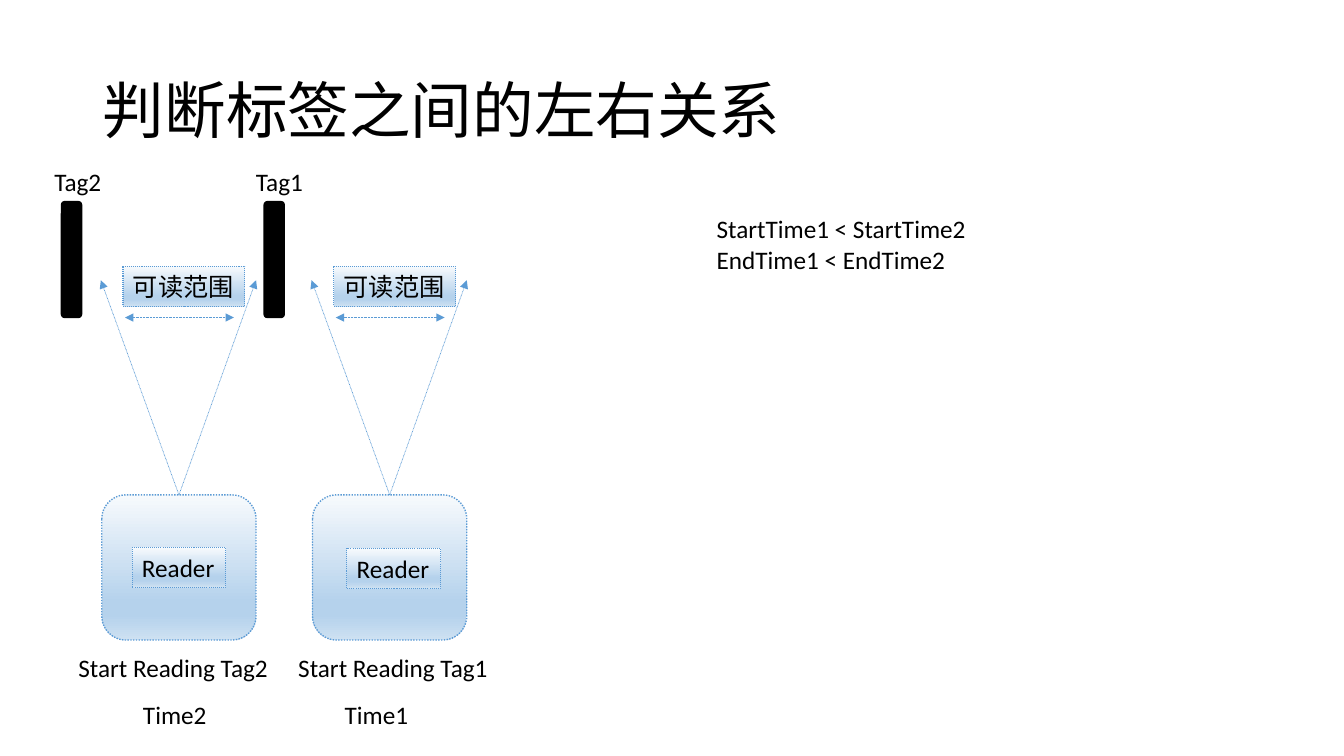
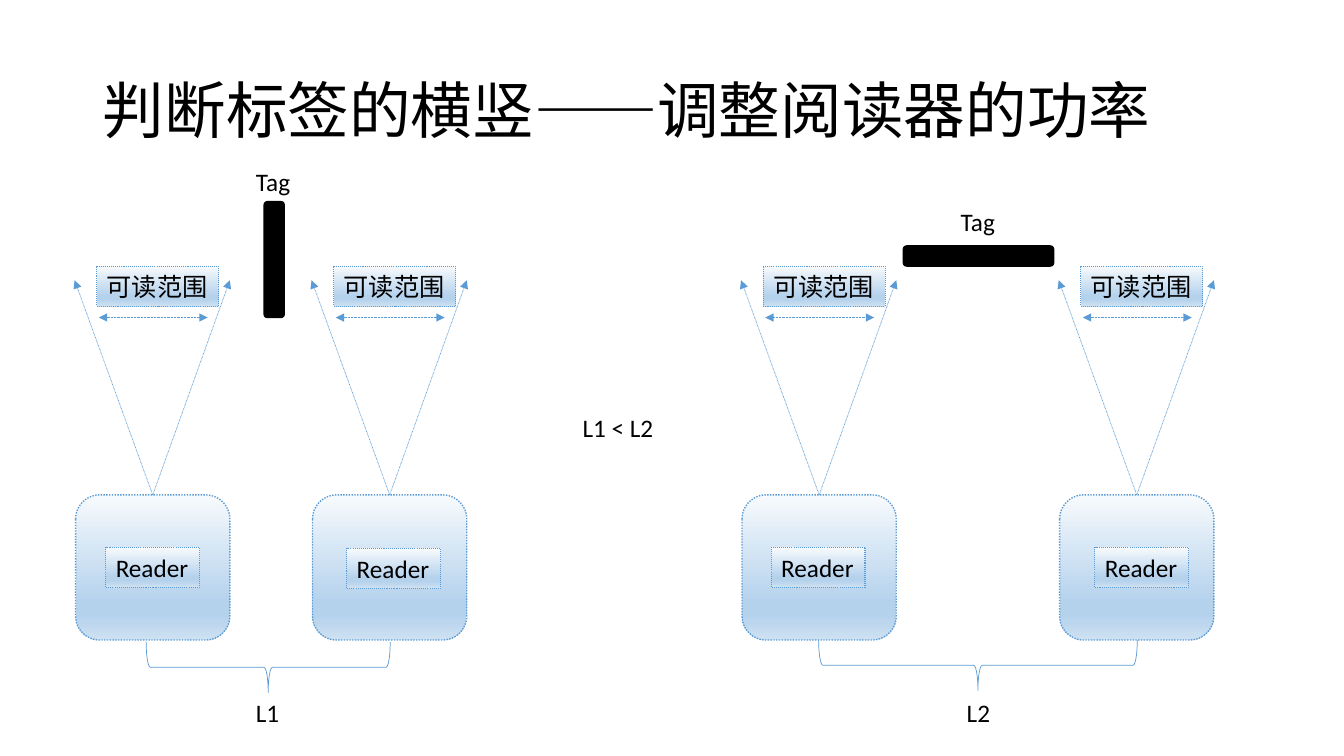
"""Build two slides on locating RFID tags with readers."""
from lxml.etree import SubElement
from pptx import Presentation
from pptx.dml.color import RGBColor
from pptx.enum.dml import MSO_LINE
from pptx.enum.shapes import MSO_CONNECTOR, MSO_SHAPE
from pptx.enum.text import MSO_ANCHOR, MSO_AUTO_SIZE, PP_ALIGN
from pptx.oxml.ns import qn
from pptx.util import Inches, Pt

FONT, BLACK, BLUE = "Calibri", "000000", "5B9BD5"
GRADIENT = [(0, "F7FAFD"), (74, "B5D2EC"), (83, "B5D2EC"), (100, "CEE1F2")]
READER_TOP, READER_WIDTH, READER_HEIGHT = 4.91, 1.53, 1.44
BEAM_TOP, RANGE_TOP, ARROW_TOP = 2.78, 2.64, 3.15
LABEL_HEIGHT = 0.4

SLIDES = [
    {
        "title": "判断标签之间的左右关系",
        "tags": [(2.62, 2, 0.2, 1.15), (0.61, 2, 0.2, 1.15)],
        "readers": [(3.1, 3.44, 5.44), (1.01, 1.31, 5.43)],
        "braces": [],
        "texts": [
            (2.44, 1.6, 0.67, ["Tag1"]),
            (0.44, 1.6, 0.67, ["Tag2"]),
            (2.86, 6.42, 2.1, ["Start Reading Tag1"]),
            (0.68, 6.42, 2.1, ["Start Reading Tag2"]),
            (3.32, 6.89, 0.84, ["Time1"]),
            (1.32, 6.89, 0.84, ["Time2"]),
            (7.01, 2.07, 2.7, ["StartTime1 < StartTime2", "EndTime1 < EndTime2"]),
        ],
    },
    {
        "title": "判断标签的横竖——调整阅读器的功率",
        "tags": [(2.62, 2, 0.2, 1.15), (8.96, 2.44, 1.49, 0.2)],
        "readers": [(3.1, 3.44, 5.44), (0.75, 1.05, 5.43),
                    (10.51, 10.86, 5.43), (7.36, 7.65, 5.43)],
        "braces": [(2.41, 5.41, 0.5, 2.42), (9.45, 5.02, 0.5, 3.16)],
        "texts": [
            (2.44, 1.6, 0.55, ["Tag"]),
            (9.43, 2, 0.55, ["Tag"]),
            (2.44, 6.87, 0.44, ["L1"]),
            (9.49, 6.87, 0.44, ["L2"]),
            (5.68, 4.04, 0.91, ["L1 < L2"]),
        ],
    },
]


def color(value):
    return RGBColor.from_string(value)


def add_span(para, text, size):
    span = para.add_run()
    span.text = text
    span.font.size = Pt(size)
    span.font.name = FONT
    span.font.color.rgb = color(BLACK)


def style_line(line, width, value=BLUE, dash=None):
    line.color.rgb = color(value)
    line.width = Pt(width)
    if dash:
        line.dash_style = dash


def fill_gradient(shape):
    shape.fill.gradient()
    shape.fill.gradient_angle = 270
    stops = shape.fill._fill._gradFill.find(qn("a:gsLst"))
    for stop in list(stops):
        stops.remove(stop)
    for position, value in GRADIENT:
        stop = SubElement(stops, qn("a:gs"), pos=str(position * 1000))
        SubElement(stop, qn("a:srgbClr"), val=value)


def add_title(page, text):
    title = page.shapes.title
    title.left, title.top = Inches(0.92), Inches(0.4)
    title.width, title.height = Inches(11.5), Inches(1.45)
    frame = title.text_frame
    frame.auto_size = MSO_AUTO_SIZE.NONE
    frame.vertical_anchor = MSO_ANCHOR.MIDDLE
    para = frame.paragraphs[0]
    para.alignment = PP_ALIGN.LEFT
    para.line_spacing = 0.9
    add_span(para, text, 44)


def add_text(page, left, top, width, lines):
    height = LABEL_HEIGHT + 0.31 * (len(lines) - 1)
    box = page.shapes.add_textbox(Inches(left), Inches(top), Inches(width), Inches(height))
    frame = box.text_frame
    frame.word_wrap = False
    frame.auto_size = MSO_AUTO_SIZE.SHAPE_TO_FIT_TEXT
    for index, line in enumerate(lines):
        para = frame.add_paragraph() if index else frame.paragraphs[0]
        add_span(para, line, 18)
    return box


def add_label(page, left, top, width, text):
    label = add_text(page, left, top, width, [text])
    fill_gradient(label)
    style_line(label.line, 0.75, dash=MSO_LINE.ROUND_DOT)


def add_outline(page, kind, frame):
    shape = page.shapes.add_shape(kind, *map(Inches, frame))
    shape.shadow.inherit = False
    return shape


def add_tag(page, frame):
    tag = add_outline(page, MSO_SHAPE.ROUNDED_RECTANGLE, frame)
    tag.fill.solid()
    tag.fill.fore_color.rgb = color(BLACK)
    style_line(tag.line, 1, BLACK)


def add_brace(page, frame):
    brace = add_outline(page, MSO_SHAPE.LEFT_BRACE, frame)
    brace.rotation = 270
    brace.fill.background()
    style_line(brace.line, 0.5)


def add_arrow(page, start, end, heads=("tailEnd",)):
    arrow = page.shapes.add_connector(MSO_CONNECTOR.STRAIGHT, *map(Inches, start + end))
    style_line(arrow.line, 0.5, dash=MSO_LINE.ROUND_DOT)
    for head in heads:
        SubElement(arrow.line._get_or_add_ln(), qn(f"a:{head}"), type="triangle")
    SubElement(arrow._element.spPr, qn("a:effectLst"))
    return arrow


def add_reader(page, left, label_left, label_top):
    body = add_outline(page, MSO_SHAPE.ROUNDED_RECTANGLE,
                       (left, READER_TOP, READER_WIDTH, READER_HEIGHT))
    fill_gradient(body)
    style_line(body.line, 1, dash=MSO_LINE.ROUND_DOT)
    add_label(page, label_left, label_top, 0.93, "Reader")
    source = (left + READER_WIDTH / 2, READER_TOP)
    for tip in (left - 0.01, left + READER_WIDTH):
        add_arrow(page, source, (tip, BEAM_TOP)).begin_connect(body, 0)
    add_arrow(page, (left + 0.23, ARROW_TOP), (left + 1.31, ARROW_TOP),
              ("headEnd", "tailEnd"))
    add_label(page, left + 0.21, RANGE_TOP, 1.21, "可读范围")


def main():
    deck = Presentation()
    deck.slide_width, deck.slide_height = Inches(13.33), Inches(7.5)
    for content in SLIDES:
        page = deck.slides.add_slide(deck.slide_layouts[5])
        add_title(page, content["title"])
        for frame in content["tags"]:
            add_tag(page, frame)
        for reader in content["readers"]:
            add_reader(page, *reader)
        for frame in content["braces"]:
            add_brace(page, frame)
        for text in content["texts"]:
            add_text(page, *text)
    deck.save("out.pptx")


if __name__ == "__main__":
    main()
